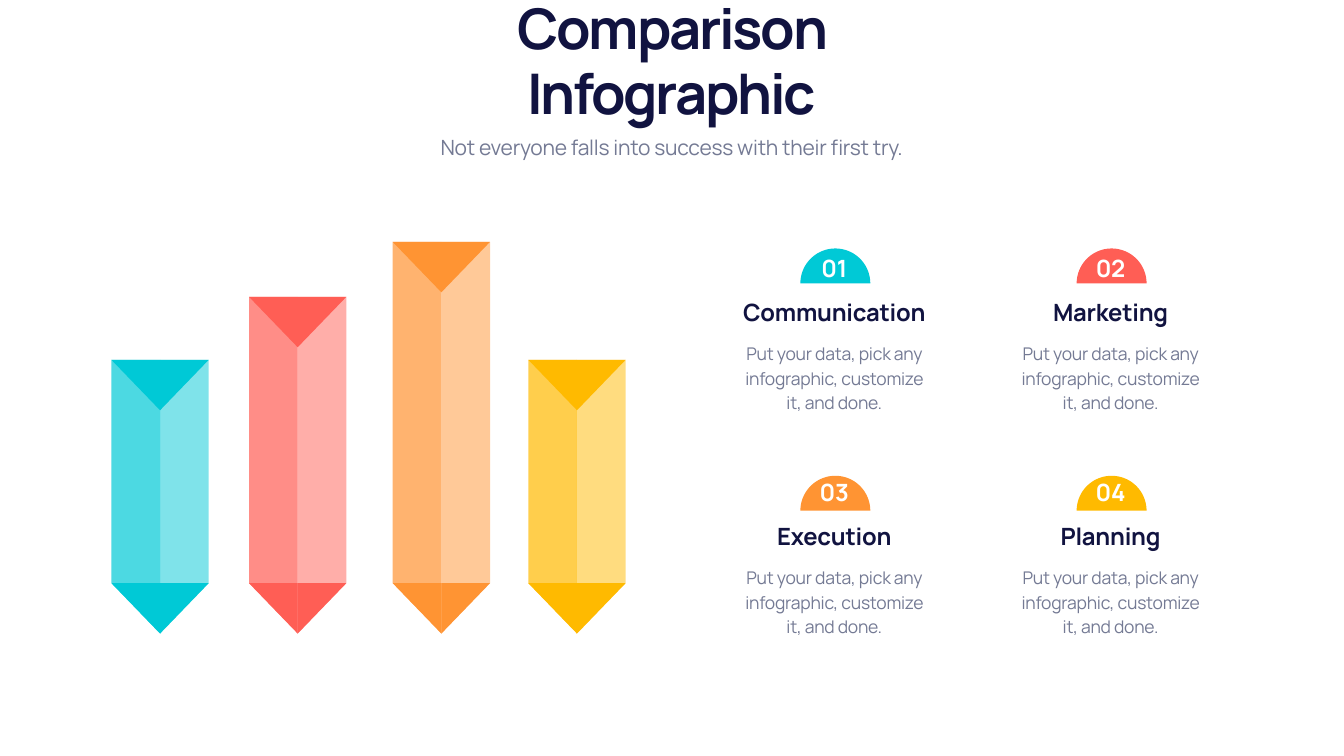
from math import cos, pi, sin
from pptx import Presentation
from pptx.dml.color import RGBColor
from pptx.enum.text import MSO_ANCHOR, MSO_AUTO_SIZE, PP_ALIGN
from pptx.oxml import parse_xml
from pptx.oxml.ns import nsdecls
from pptx.util import Inches, Pt

NAVY, GREY, WHITE = "111340", "747A94", "FFFFFF"
CYAN, RED, ORANGE, YELLOW = "00C9D6", "FF5E55", "FF9433", "FFBA00"
BODY = "Put your data, pick any infographic, customize it, and done."


def colour(value):
    return RGBColor.from_string(value)


def polygon(page, box, points, fill, opacity=100):
    left, top, width, height = box
    corners = [(Inches(left + x * width), Inches(top + y * height)) for x, y in points]
    builder = page.shapes.build_freeform(*corners[0], scale=1.0)
    builder.add_line_segments(corners[1:], close=True)
    shape = builder.convert_to_shape()
    shape.shadow.inherit = False
    shape.line.fill.background()
    shape.fill.solid()
    shape.fill.fore_color.rgb = colour(fill)
    if opacity < 100:
        alpha = parse_xml(f'<a:alpha {nsdecls("a")} val="{opacity * 1000}"/>')
        shape.fill._xPr.solidFill[0].append(alpha)


def write(shape, box, text, size, ink, leading, bold=False, tracking=-0.3):
    shape.left, shape.top, shape.width, shape.height = [Inches(value) for value in box]
    frame = shape.text_frame
    frame.text = text
    frame.word_wrap = True
    frame.auto_size = MSO_AUTO_SIZE.NONE
    para = frame.paragraphs[0]
    para.alignment = PP_ALIGN.CENTER
    para.line_spacing = Pt(leading)
    span = para.runs[0]
    span.font.name = "Manrope"
    span.font.size = Pt(size)
    span.font.bold = bold
    span.font.color.rgb = colour(ink)
    span._r.get_or_add_rPr().set("spc", str(round(tracking * 100)))


def label(page, box, *style, **options):
    write(page.shapes.add_textbox(0, 0, 0, 0), box, *style, **options)


def heading(page, box):
    left, top, width, height = box
    title = page.shapes.title
    write(title, (left, top, width, height * 0.7), "Comparison Infographic",
          80, NAVY, 94, bold=True, tracking=-3.3)
    title.text_frame.vertical_anchor = MSO_ANCHOR.BOTTOM
    label(page, (left, top + height * 0.69, width, height * 0.31),
          "Not everyone falls into success with their first try.", 30, GREY, 42)


def pencil(page, box, fill, split_notch):
    cap = 1 / box[3]
    for edge in (1, 0):
        polygon(page, box, [(0.5, 1), (edge, 1 - cap), (0.5, 1 - cap)], fill)
        if split_notch:
            polygon(page, box, [(0.5, 0), (edge, 0), (0.5, cap)], fill)
    if not split_notch:
        polygon(page, box, [(0, 0), (1, 0), (0.5, cap)], fill)
    for edge, opacity in ((1, 50), (0, 70)):
        side = [(0.5, 0), (edge, 0), (edge, 1 - cap), (0.5, 1)]
        polygon(page, box, side, fill, opacity)


def card(page, box, number, name, fill, text_shift):
    left, top, width, height = box
    radius = width * 0.176
    badge = (left + width / 2 - radius + 0.02, top, radius * 2, radius)
    steps = 48
    arc = [(0.5 - cos(pi * step / steps) / 2, 1 - sin(pi * step / steps))
           for step in range(steps + 1)]
    polygon(page, badge, arc, fill)
    for text, start, share, size, ink, bold in (
        (number, 0.04, 0.18, 34, WHITE, True),
        (name, 0.307, 0.18, 34, NAVY, True),
        (BODY, 0.535, 0.465, 25, GREY, False),
    ):
        place = (left, top + text_shift + height * start, width, height * share)
        label(page, place, text, size, ink, 35, bold=bold)


deck = Presentation()
deck.slide_width, deck.slide_height = Inches(26.66), Inches(15)
page = deck.slides.add_slide(deck.slide_layouts[5])
heading(page, (7.26, 1.13, 12.13, 2.03))

pencil_base = 12.57
for left, top, fill, split_notch in (
    (2.21, 7.14, CYAN, True),
    (10.48, 7.14, YELLOW, True),
    (4.94, 5.89, RED, False),
    (7.79, 4.8, ORANGE, False),
):
    pencil(page, (left, top, 1.93, pencil_base - top), fill, split_notch)

cards = (("Communication", CYAN), ("Marketing", RED),
         ("Execution", ORANGE), ("Planning", YELLOW))
for index, (name, fill) in enumerate(cards):
    row, column = divmod(index, 2)
    box = (14.58 + column * 5.48, 4.93 + row * 4.51, 3.94, 3.29)
    card(page, box, f"{index + 1:02}", name, fill, -0.06 * row)

deck.save("out.pptx")
